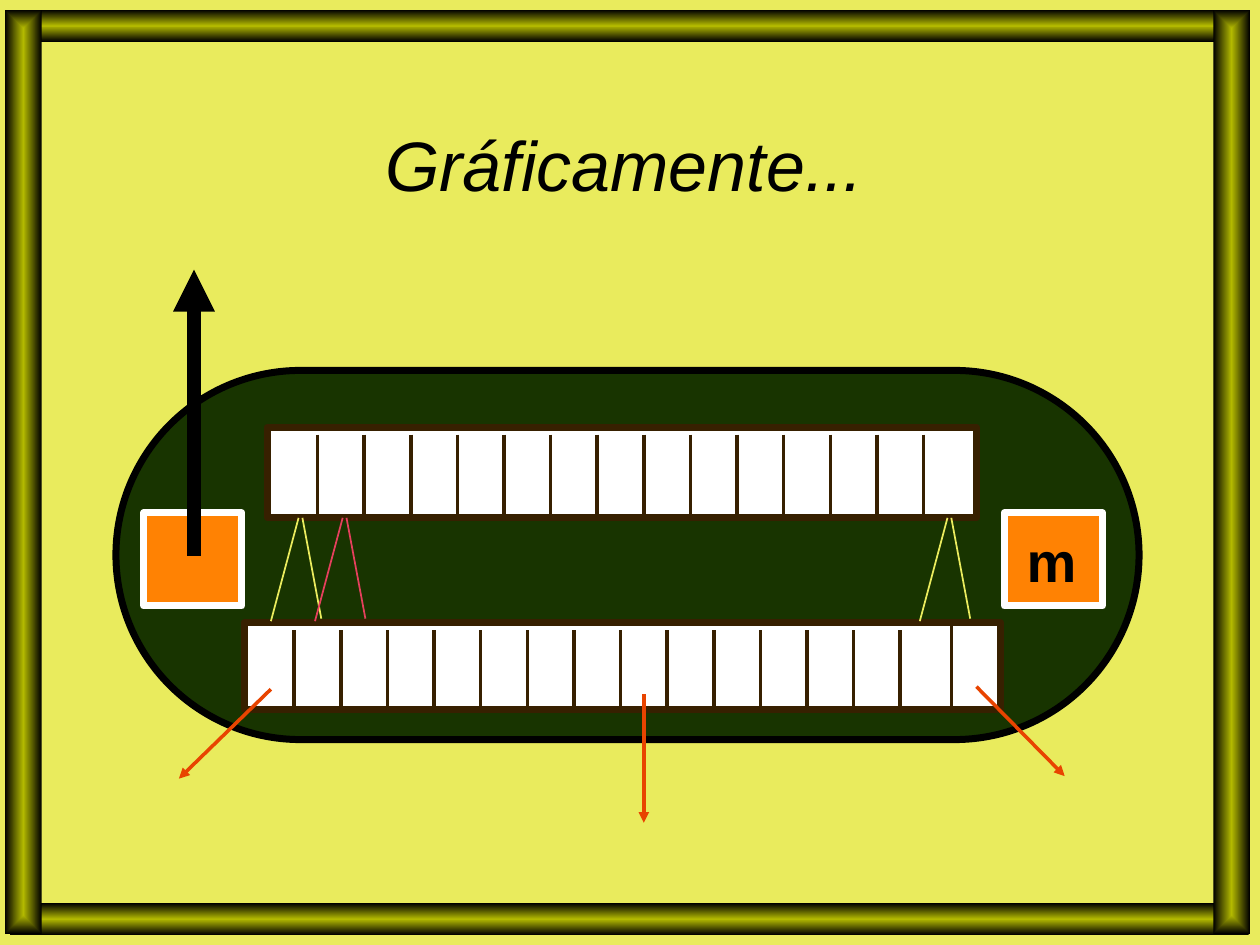
from typing import NamedTuple

import pptx
import pptx.dml.color
import pptx.enum.shapes
import pptx.enum.text
import pptx.oxml
import pptx.oxml.ns
import pptx.util

COLUMNS, ROWS = 100, 75  # square cells over a 10 x 7.5 inch slide
INK, BROWN, WHITE, ORANGE = "000000", "372000", "FFFFFF", "FF8203"
YELLOW, PINK, RED = "EAEC5E", "E5405D", "E84400"
RECT = pptx.enum.shapes.MSO_SHAPE.RECTANGLE
ROUNDED = pptx.enum.shapes.MSO_SHAPE.ROUNDED_RECTANGLE


class Box(NamedTuple):
    """Place in grid cells."""
    left: float
    top: float
    width: float
    height: float


class Line(NamedTuple):
    """Straight line between two grid points; weight in points."""
    x1: float
    y1: float
    x2: float
    y2: float
    color: str
    weight: float
    arrow: bool = False


class Strand(NamedTuple):
    """Row of cells split by evenly spaced dividers."""
    box: Box
    first: float
    count: int
    top: float


prs = pptx.Presentation()
prs.slide_width = pptx.util.Inches(10)
prs.slide_height = pptx.util.Inches(7.5)
s = prs.slides.add_slide(prs.slide_layouts[6])


def rgb(color: str):
    return pptx.dml.color.RGBColor.from_string(color)


def col(n: float) -> int:
    return round(prs.slide_width * n / COLUMNS)


def row(n: float) -> int:
    return round(prs.slide_height * n / ROWS)


def place(box: Box) -> tuple:
    return col(box.left), row(box.top), col(box.width), row(box.height)


def fill_from_center(fill, owner, center: str, edge: str) -> None:
    """Give a fill a rectangular gradient; owner is the XML that holds it."""
    fill.gradient()
    for stop, color in zip(fill.gradient_stops, (center, edge)):
        stop.color.rgb = rgb(color)
    lin = owner.xpath(".//a:lin")[0]
    lin.getparent().replace(lin, pptx.oxml.parse_xml(
        f'<a:path {pptx.oxml.ns.nsdecls("a")} path="rect">'
        '<a:fillToRect l="50000" t="50000" r="50000" b="50000"/></a:path>'))


def add_box(box: Box, fill: str, line: str, kind=RECT):
    sp = s.shapes.add_shape(kind, *place(box))
    sp.shadow.inherit = False
    sp.fill.solid()
    sp.fill.fore_color.rgb = rgb(fill)
    sp.line.color.rgb = rgb(line)
    sp.line.width = pptx.util.Pt(4)
    return sp


def add_bar(box: Box) -> None:
    sp = s.shapes.add_shape(RECT, *place(box))
    sp.shadow.inherit = False
    sp.line.fill.background()
    fill_from_center(sp.fill, sp._element, "B3B900", INK)


def add_line(line: Line) -> None:
    cx = s.shapes.add_connector(pptx.enum.shapes.MSO_CONNECTOR.STRAIGHT,
                                col(line.x1), row(line.y1), col(line.x2), row(line.y2))
    cx.line.color.rgb = rgb(line.color)
    cx.line.width = pptx.util.Pt(line.weight)
    ns = pptx.oxml.ns.nsdecls("a")
    if line.arrow:
        cx.line._get_or_add_ln().append(
            pptx.oxml.parse_xml(f'<a:tailEnd {ns} type="triangle"/>'))
    cx._element.spPr.append(pptx.oxml.parse_xml(f"<a:effectLst {ns}/>"))


def add_strand(strand: Strand) -> None:
    add_box(strand.box, WHITE, BROWN)
    for i in range(strand.count):
        x = strand.first + 3.7 * i
        add_line(Line(x, strand.top, x, strand.top + 6.4, BROWN, 2))


def add_text(box: Box, text: str, size: float, align, wrap: bool = True,
             bold: bool = False, italic: bool = False) -> None:
    tf = s.shapes.add_textbox(*place(box)).text_frame
    tf.word_wrap = wrap
    tf.vertical_anchor = pptx.enum.text.MSO_ANCHOR.MIDDLE
    p = tf.paragraphs[0]
    p.alignment = align
    r = p.add_run()
    r.text = text
    r.font.name = "Arial"
    r.font.size = pptx.util.Pt(size)
    r.font.bold = bold
    r.font.italic = italic
    r.font.color.rgb = rgb(INK)


fill_from_center(s.background.fill, s._element, YELLOW, "E9EB5D")
for top in (0.8, 71.7):
    add_bar(Box(0.8, top, 98.3, 2.5))
for left in (0.4, 96.3):
    add_bar(Box(left, 0.8, 2.9, 73.3))

add_text(Box(3.3, 6.7, 92.5, 12.5), "Gráficamente...", 40,
         pptx.enum.text.PP_ALIGN.CENTER, italic=True)

capsule = add_box(Box(9.2, 29.4, 81.2, 29.3), "183400", INK, ROUNDED)
capsule.adjustments[0] = 0.5
add_strand(Strand(Box(21.2, 33.9, 56.3, 7.2), 25.2, 14, 34.5))
add_strand(Strand(Box(19.4, 49.4, 60, 6.9), 23.35, 14, 50))
add_line(Line(75.5, 49.6, 75.5, 56, BROWN, 2))

for arrow in (Line(21.5, 54.7, 14.2, 61.8, RED, 2, True),
              Line(77.5, 54.5, 84.5, 61.6, RED, 2, True),
              Line(51.1, 55.1, 51.1, 65.3, RED, 2, True)):
    add_line(arrow)

for left in (11.4, 79.7):
    add_box(Box(left, 40.7, 7.8, 7.4), ORANGE, WHITE)
add_line(Line(15.4, 44.1, 15.4, 21.4, INK, 8, True))
add_text(Box(80.5, 41.3, 5.9, 6.3), "m", 32,
         pptx.enum.text.PP_ALIGN.LEFT, wrap=False, bold=True)

for x, color in ((23.7, YELLOW), (27.2, PINK), (75.2, YELLOW)):
    add_line(Line(x, 41.1, x - 2.2, 49.3, color, 1))
    add_line(Line(x + 0.3, 41.1, x + 1.8, 49.1, color, 1))

prs.save("out.pptx")
